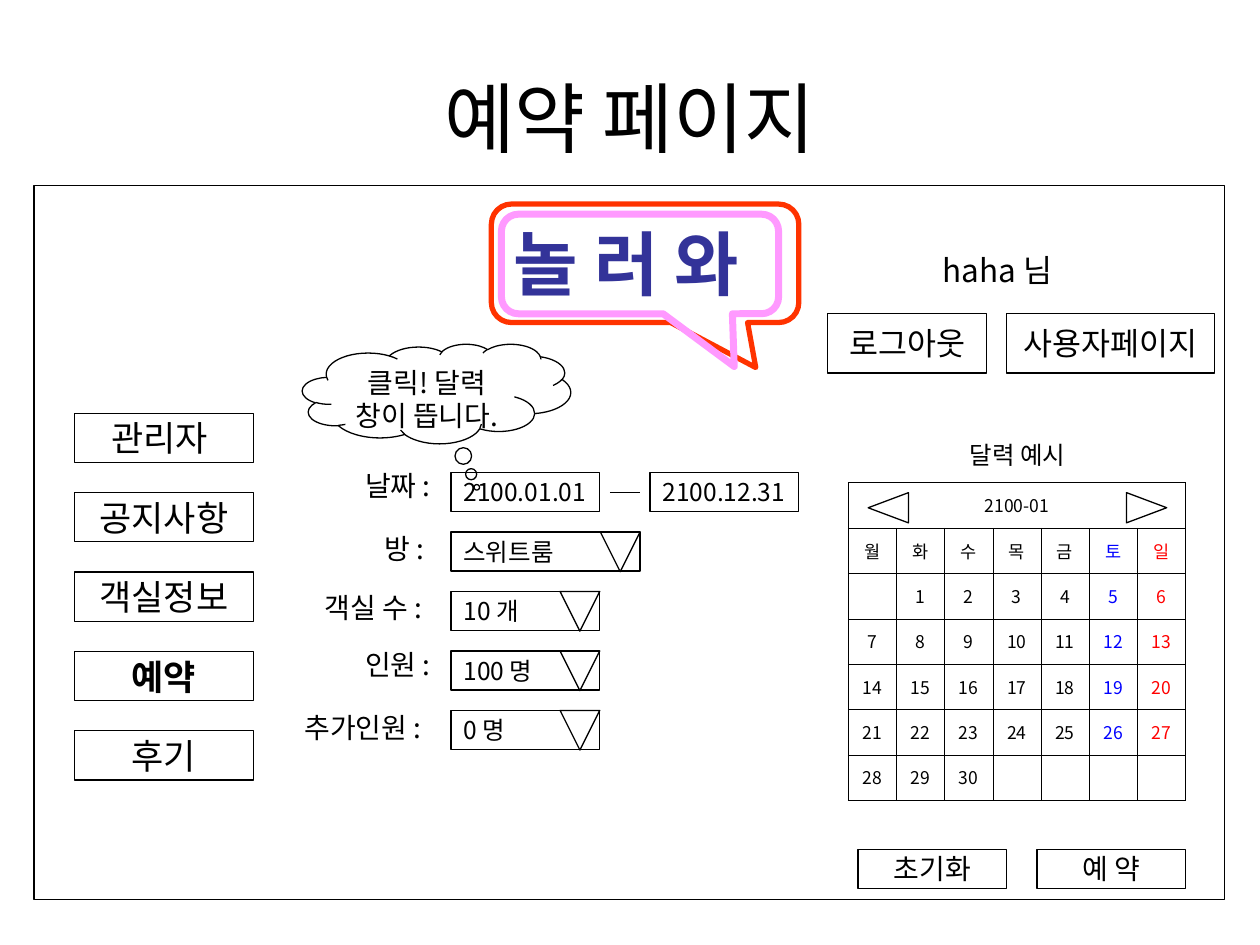
from lxml.etree import SubElement
from pptx import Presentation
from pptx.dml.color import RGBColor
from pptx.enum.shapes import MSO_CONNECTOR, MSO_SHAPE
from pptx.enum.text import MSO_ANCHOR, PP_ALIGN
from pptx.oxml.ns import qn
from pptx.util import Inches, Pt

FONT = "Noto Sans CJK KR"
BLACK, BLUE, RED = "000000", "0000FF", "FF0000"
LEFT, CENTER = PP_ALIGN.LEFT, PP_ALIGN.CENTER
TOP, MIDDLE = MSO_ANCHOR.TOP, MSO_ANCHOR.MIDDLE

presentation = Presentation()
presentation.slide_width = Inches(10)
presentation.slide_height = Inches(7.5)
slide = presentation.slides.add_slide(presentation.slide_layouts[6])
column = presentation.slide_width / 100
row = presentation.slide_height / 75


def write_text(text_frame, text, size, align=CENTER, color=BLACK, bold=False):
    text_frame.text = text
    paragraph = text_frame.paragraphs[0]
    paragraph.alignment = align
    for run in paragraph.runs:
        run.font.name = FONT
        run.font.size = Pt(size)
        run.font.bold = bold
        run.font.color.rgb = RGBColor.from_string(color)
        SubElement(run.font._element, qn("a:ea"), typeface=FONT)


def add_item(preset, x, y, width, height, text="", size=14, align=CENTER, anchor=MIDDLE,
             wrap=False, color=BLACK, bold=False, line=BLACK, weight=0.75, adjust=(), rotation=0):
    place = [int(value) for value in (x * column, y * row, width * column, height * row)]
    if preset is None:
        shape = slide.shapes.add_textbox(*place)
    else:
        shape = slide.shapes.add_shape(preset, *place)
        shape.shadow.inherit = False
        shape.fill.background()
        shape.line.color.rgb = RGBColor.from_string(line)
        shape.line.width = Pt(weight)
        shape.rotation = rotation
        for index, value in enumerate(adjust):
            shape.adjustments[index] = value
    if text:
        shape.text_frame.word_wrap = wrap
        shape.text_frame.vertical_anchor = anchor
        write_text(shape.text_frame, text, size, align, color, bold)
    return shape


add_item(None, 5, 3, 90, 12.5, "예약 페이지", 44, wrap=True)
add_item(MSO_SHAPE.RECTANGLE, 2.7, 14.7, 94.5, 56.7)

add_item(None, 39.8, 17, 22.8, 7.7, "놀 러 와", 40, LEFT, TOP, True, "333399", True)
add_item(MSO_SHAPE.ROUNDED_RECTANGULAR_CALLOUT, 39, 16.2, 24.4, 9.4,
         line="FF3300", weight=3, adjust=(0.36, 0.88, 0.17))
add_item(MSO_SHAPE.ROUNDED_RECTANGULAR_CALLOUT, 39.8, 17, 22, 7.9,
         line="FF99FF", weight=4, adjust=(0.34, 1.03, 0.17))

menu = ["관리자 ", "공지사항", "객실정보", "예약", "후기"]
for index, name in enumerate(menu):
    add_item(MSO_SHAPE.RECTANGLE, 5.9, 32.8 + 6.3 * index, 14.2, 3.9, name, 20, bold=name == "예약")

add_item(MSO_SHAPE.RECTANGLE, 65.7, 24.9, 12.6, 4.7, "로그아웃", 18)
add_item(MSO_SHAPE.RECTANGLE, 79.9, 24.9, 16.5, 4.7, "사용자페이지", 18)
add_item(None, 71.3, 19.4, 15.7, 4, "haha 님", 18, anchor=TOP, wrap=True)

weeks = [["2100-01"] + [""] * 6, list("월화수목금토일")]
weeks += [[str(day) if 1 <= day <= 30 else "" for day in range(start, start + 7)]
          for start in range(0, 35, 7)]
table = slide.shapes.add_table(7, 7, int(67.3 * column), int(38.3 * row),
                               int(26.8 * column), int(25.2 * row)).table
table.first_row = False
table.horz_banding = False
for row_index, week in enumerate(weeks):
    for column_index, day in enumerate(week):
        cell = table.cell(row_index, column_index)
        cell.vertical_anchor = MIDDLE
        write_text(cell.text_frame, day, 10, color={5: BLUE, 6: RED}.get(column_index, BLACK))
        cell.text_frame.paragraphs[0]._p.get_or_add_endParaRPr().set("sz", "1000")
        properties = cell._tc.get_or_add_tcPr()
        for side in ("lnL", "lnR", "lnT", "lnB"):
            border = SubElement(properties, qn(f"a:{side}"), w=str(Pt(0.06)))
            border_fill = SubElement(border, qn("a:solidFill"))
            SubElement(border_fill, qn("a:srgbClr"), val=BLACK)
        cell.fill.background()
table.cell(0, 0).merge(table.cell(0, 6))
for x, rotation in ((89.8, 90), (69.3, 270)):
    add_item(MSO_SHAPE.ISOSCELES_TRIANGLE, x, 38.7, 2.4, 3.2, rotation=rotation)

for x, date in ((35.8, "2100.01.01"), (51.6, "2100.12.31")):
    add_item(MSO_SHAPE.RECTANGLE, x, 37.5, 11.8, 3.1, date, 14, LEFT)
dash = slide.shapes.add_connector(MSO_CONNECTOR.STRAIGHT, int(48.4 * column), int(39.1 * row),
                                  int(50.8 * column), int(39.1 * row))
dash.line.color.rgb = RGBColor.from_string(BLACK)
dash.line.width = Pt(0.75)
SubElement(dash._element.spPr, qn("a:effectLst"))

choices = [("스위트룸", 15), ("10 개", 11.8), ("100 명", 11.8), ("0 명", 11.8)]
for index, (choice, width) in enumerate(choices, start=1):
    y = 37.5 + 4.72 * index
    add_item(MSO_SHAPE.RECTANGLE, 35.8, y, width, 3.1, choice, 14, LEFT)
    add_item(MSO_SHAPE.ISOSCELES_TRIANGLE, 35.8 + width - 3.15, y, 3.15, 3.15, rotation=180)

labels = [("날짜 :", 28, 36.7, 8.6, 0.1), ("방 :", 28, 41.7, 8.6, 0.25),
          ("객실 수 :", 24.8, 46.4, 11, 0.1), ("인원 :", 28, 50.9, 8.6, 0.1),
          ("추가인원 :", 23.2, 55.9, 13.4, 0.1)]
for label, x, y, width, indent in labels:
    label_box = add_item(None, x, y, width, 3.7, label, 16, LEFT, TOP, True)
    label_box.text_frame.margin_left = Inches(indent)

add_item(MSO_SHAPE.CLOUD_CALLOUT, 24, 27.3, 21.3, 7.9, "클릭! 달력 창이 뜹니다.", 16,
         anchor=TOP, wrap=True, adjust=(0.15, 0.94))
add_item(None, 71.3, 34.4, 18.9, 3.4, "달력 예시", 14, anchor=TOP, wrap=True)
for x, action in ((82.3, "예 약"), (68.1, "초기화")):
    add_item(MSO_SHAPE.RECTANGLE, x, 67.4, 11.8, 3.1, action, 16)

presentation.save("out.pptx")
